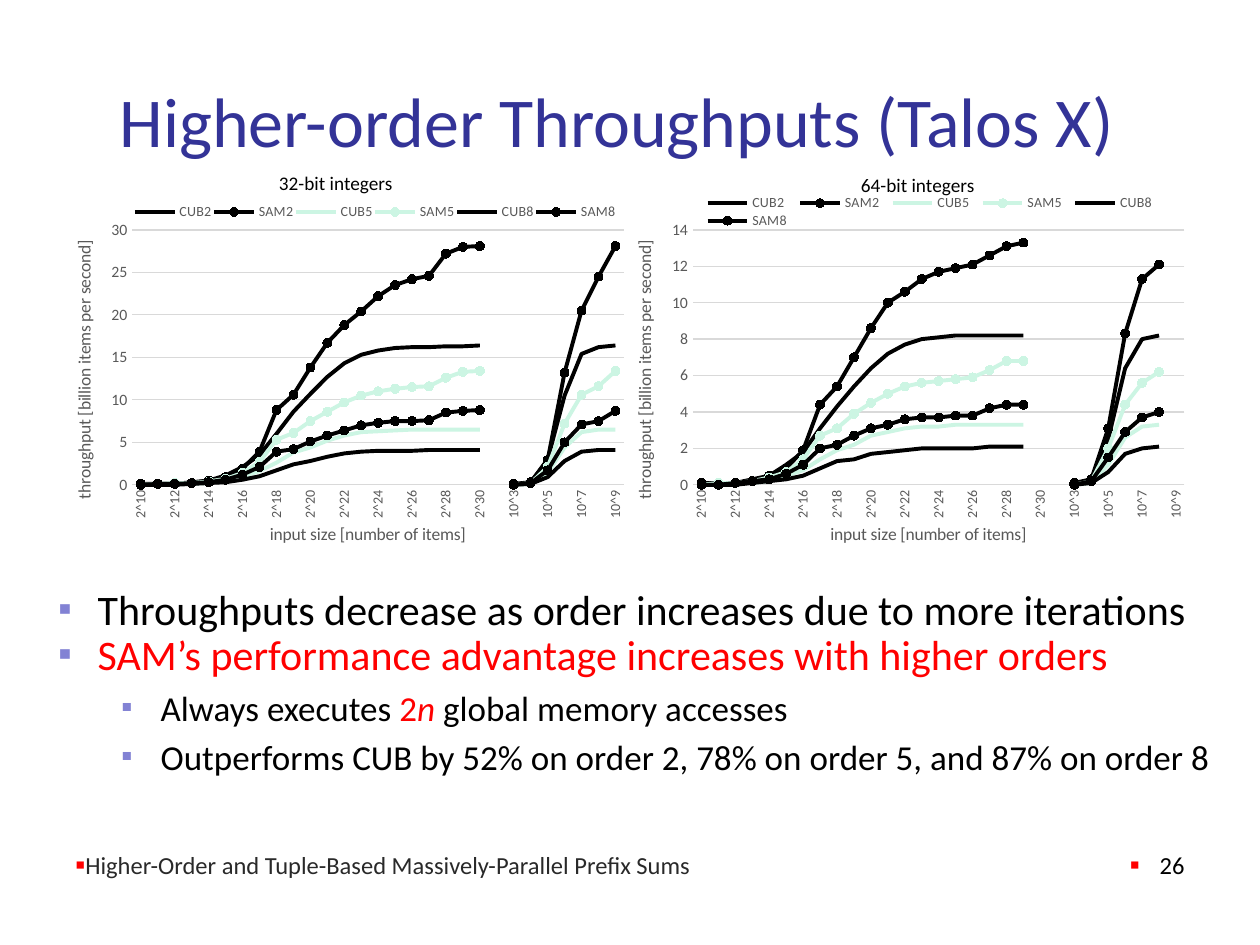
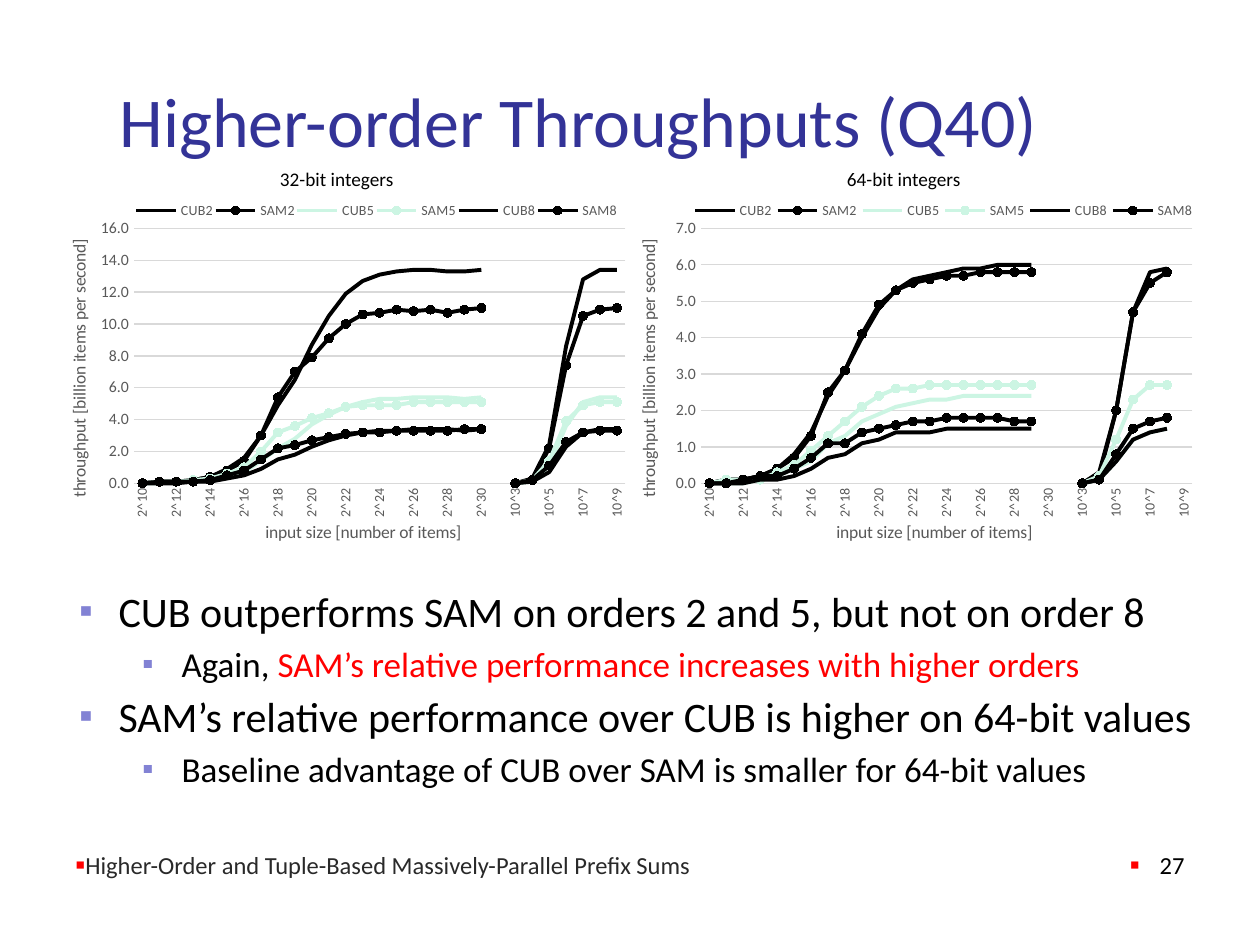
from dataclasses import dataclass
from typing import Any, NamedTuple, Optional

import lxml.etree
import pptx
import pptx.chart.data
import pptx.dml.color
import pptx.enum.chart
import pptx.enum.text
import pptx.oxml.ns
import pptx.util

Cm = pptx.util.Cm
Pt = pptx.util.Pt
qn = pptx.oxml.ns.qn
ANCHOR = pptx.enum.text.MSO_ANCHOR
ALIGN = pptx.enum.text.PP_ALIGN
AUTO_SIZE = pptx.enum.text.MSO_AUTO_SIZE
CHART = pptx.enum.chart


@dataclass(frozen=True)
class Theme:
    font: str = "Calibri"
    background: str = "FFFFFF"
    title: str = "333397"
    text: str = "000000"
    accent: str = "FF0000"
    bullet: str = "8282D4"
    footer: str = "292929"
    axis: str = "595959"
    grid: str = "D9D9D9"
    pale: str = "CCF5E3"
    title_size: int = 40
    level_sizes: tuple[int, int] = (24, 20)
    footer_size: int = 14
    caption_size: int = 11
    axis_title_size: int = 10
    value_size: int = 9
    small_size: int = 8
    curve_width: float = 2.25
    rule_width: float = 0.75


THEME = Theme()
FOOTER = "Higher-Order and Tuple-Based Massively-Parallel Prefix Sums"
SERIES_NAMES = ("CUB2", "SAM2", "CUB5", "SAM5", "CUB8", "SAM8")
BINARY_SIZES = [f"2^{power}" for power in range(10, 31)]
DECIMAL_SIZES = [f"10^{power}" for power in range(3, 10)]
LEVEL_INDENTS = (2.06, 3.33)
HANGING = 0.79


class Box(NamedTuple):
    """Left, top, width and height in centimetres."""
    left: float
    top: float
    width: float
    height: float

    def lengths(self) -> list[pptx.util.Length]:
        return [Cm(side) for side in self]


class Layout(NamedTuple):
    """Position and size as fractions of the chart."""
    x: float
    y: float
    w: float
    h: float


PLOT_LAYOUT = Layout(0.12, 0.11, 0.85, 0.71)


class Run(NamedTuple):
    text: str
    color: str = THEME.text
    italic: bool = False


@dataclass(frozen=True)
class Point:
    runs: tuple[Run, ...]
    level: int = 1
    line_spacing: Optional[float] = None


@dataclass(frozen=True)
class PointList:
    box: Box
    points: tuple[Point, ...]


@dataclass(frozen=True)
class Throughput:
    caption: str
    caption_at: tuple[float, float]
    chart_at: tuple[float, float]
    legend: Layout
    top_value: float
    step: float
    # One (binary sizes, decimal sizes) pair for each series name
    values: tuple[tuple[list[float], list[float]], ...]
    number_format: str = "General"


@dataclass(frozen=True)
class ResultSlide:
    title: str
    number: int
    throughputs: tuple[Throughput, ...]
    lists: tuple[PointList, ...]


# Content
TALOS_32 = (
    ([0, .1, .1, .3, .5, 1.1, 2.1, 3.5, 6, 8.6, 10.7, 12.7, 14.3, 15.3, 15.8, 16.1, 16.2, 16.2, 16.3, 16.3, 16.4],
     [0, .3, 3, 10.5, 15.4, 16.2, 16.4]),
    ([.1, .1, .1, .2, .5, .9, 1.9, 3.9, 8.8, 10.6, 13.8, 16.7, 18.8, 20.4, 22.2, 23.5, 24.2, 24.6, 27.2, 28, 28.1],
     [.1, .3, 2.9, 13.2, 20.5, 24.5, 28.1]),
    ([0, 0, .1, .1, .2, .5, 1, 1.6, 2.6, 3.8, 4.4, 5.2, 5.8, 6.2, 6.3, 6.4, 6.5, 6.5, 6.5, 6.5, 6.5],
     [0, .1, 1.4, 4.4, 6.2, 6.5, 6.5]),
    ([0, .1, .2, .2, .4, .7, 1.4, 2.7, 5.3, 6.1, 7.5, 8.6, 9.7, 10.5, 11, 11.3, 11.5, 11.6, 12.6, 13.3, 13.4],
     [0, .2, 2.1, 7.2, 10.6, 11.6, 13.4]),
    ([0, 0, 0, .1, .2, .3, .6, 1, 1.7, 2.4, 2.8, 3.3, 3.7, 3.9, 4, 4, 4, 4.1, 4.1, 4.1, 4.1],
     [0, .1, .9, 2.8, 3.9, 4.1, 4.1]),
    ([0, .1, .1, .2, .3, .6, 1.2, 2.1, 3.9, 4.2, 5.1, 5.8, 6.4, 7, 7.3, 7.5, 7.5, 7.6, 8.5, 8.7, 8.8],
     [0, .2, 1.7, 5, 7.1, 7.5, 8.7]),
)
TALOS_64 = (
    ([0, .1, .1, .3, .5, 1.1, 1.8, 3.1, 4.3, 5.4, 6.4, 7.2, 7.7, 8, 8.1, 8.2, 8.2, 8.2, 8.2, 8.2],
     [0, .3, 2.5, 6.4, 8, 8.2]),
    ([.1, .1, .1, .2, .5, .9, 1.9, 4.4, 5.4, 7, 8.6, 10, 10.6, 11.3, 11.7, 11.9, 12.1, 12.6, 13.1, 13.3],
     [.1, .3, 3.1, 8.3, 11.3, 12.1]),
    ([0, 0, .1, .1, .2, .5, .8, 1.4, 1.9, 2.2, 2.7, 2.9, 3.1, 3.2, 3.2, 3.3, 3.3, 3.3, 3.3, 3.3],
     [0, .1, 1.1, 2.6, 3.2, 3.3]),
    ([0, .1, .1, .2, .4, .7, 1.4, 2.7, 3.1, 3.9, 4.5, 5, 5.4, 5.6, 5.7, 5.8, 5.9, 6.3, 6.8, 6.8],
     [0, .2, 2, 4.4, 5.6, 6.2]),
    ([0, 0, 0, .1, .2, .3, .5, .9, 1.3, 1.4, 1.7, 1.8, 1.9, 2, 2, 2, 2, 2.1, 2.1, 2.1],
     [0, .1, .7, 1.7, 2, 2.1]),
    ([0, 0, .1, .2, .3, .6, 1.1, 2, 2.2, 2.7, 3.1, 3.3, 3.6, 3.7, 3.7, 3.8, 3.8, 4.2, 4.4, 4.4],
     [0, .2, 1.5, 2.9, 3.7, 4]),
)
Q40_32 = (
    ([0, .1, .1, .2, .4, .9, 1.6, 3, 4.9, 6.5, 8.7, 10.5, 11.9, 12.7, 13.1, 13.3, 13.4, 13.4, 13.3, 13.3, 13.4],
     [0, .3, 2.4, 8.6, 12.8, 13.4, 13.4]),
    ([0, .1, .1, .2, .4, .8, 1.4, 3, 5.4, 7, 7.9, 9.1, 10, 10.6, 10.7, 10.9, 10.8, 10.9, 10.7, 10.9, 11],
     [0, .2, 2.2, 7.4, 10.5, 10.9, 11]),
    ([0, 0, .1, .1, .2, .4, .7, 1.4, 2.2, 2.8, 3.7, 4.3, 4.8, 5.1, 5.3, 5.3, 5.4, 5.4, 5.4, 5.3, 5.4],
     [0, .1, 1.1, 3.6, 5.1, 5.4, 5.4]),
    ([0, .1, .1, .2, .3, .6, 1, 2, 3.2, 3.6, 4.1, 4.4, 4.8, 4.9, 4.9, 4.9, 5.1, 5.1, 5.1, 5.1, 5.1],
     [0, .2, 1.4, 3.9, 4.9, 5.1, 5.1]),
    ([0, 0, 0, .1, .1, .3, .5, .9, 1.5, 1.8, 2.3, 2.7, 3, 3.2, 3.3, 3.3, 3.4, 3.4, 3.4, 3.3, 3.4],
     [0, .1, .7, 2.3, 3.2, 3.4, 3.4]),
    ([0, .1, .1, .1, .2, .5, .8, 1.5, 2.2, 2.4, 2.7, 2.9, 3.1, 3.2, 3.2, 3.3, 3.3, 3.3, 3.3, 3.4, 3.4],
     [0, .2, 1.1, 2.6, 3.2, 3.3, 3.3]),
)
Q40_64 = (
    ([0, .1, .1, .2, .4, .8, 1.4, 2.4, 3.1, 4, 4.8, 5.3, 5.6, 5.7, 5.8, 5.9, 5.9, 6, 6, 6],
     [0, .3, 2, 4.7, 5.8, 5.9]),
    ([0, .1, .1, .2, .4, .7, 1.3, 2.5, 3.1, 4.1, 4.9, 5.3, 5.5, 5.6, 5.7, 5.7, 5.8, 5.8, 5.8, 5.8],
     [0, .2, 2, 4.7, 5.5, 5.8]),
    ([0, 0, 0, .1, .2, .4, .6, 1.1, 1.3, 1.7, 1.9, 2.1, 2.2, 2.3, 2.3, 2.4, 2.4, 2.4, 2.4, 2.4],
     [0, .1, .6, 1.2, 1.4, 1.5]),
    ([0, .1, .1, .1, .3, .5, .9, 1.3, 1.7, 2.1, 2.4, 2.6, 2.6, 2.7, 2.7, 2.7, 2.7, 2.7, 2.7, 2.7],
     [0, .2, 1.2, 2.3, 2.7, 2.7]),
    ([0, 0, 0, .1, .1, .2, .4, .7, .8, 1.1, 1.2, 1.4, 1.4, 1.4, 1.5, 1.5, 1.5, 1.5, 1.5, 1.5],
     [0, .1, .6, 1.2, 1.4, 1.5]),
    ([0, 0, .1, .2, .2, .4, .7, 1.1, 1.1, 1.4, 1.5, 1.6, 1.7, 1.7, 1.8, 1.8, 1.8, 1.8, 1.7, 1.7],
     [0, .1, .8, 1.5, 1.7, 1.8]),
)
RESULTS = (
    ResultSlide("Higher-order Throughputs (Talos X)", 26, (
        Throughput("64-bit integers", (12.57, 3.42), (12.57, 3.84), Layout(0.13, 0.01, 0.8, 0.1), 14, 2, TALOS_64),
        Throughput("32-bit integers", (0.84, 3.37), (1.27, 3.84), Layout(0.12, 0.03, 0.84, 0.06), 30, 5, TALOS_32),
    ), (
        PointList(Box(-0.34, 11.13, 24.77, 1.8), (
            Point((Run("Throughputs decrease as order increases due to more iterations"),), line_spacing=1.5),)),
        PointList(Box(-0.34, 12.55, 25.35, 3.33), (
            Point((Run("SAM’s performance advantage increases with higher orders", THEME.accent),)),
            Point((Run("Always executes "), Run("2", THEME.accent), Run("n", THEME.accent, True),
                   Run(" global memory accesses")), 2),
            Point((Run("Outperforms CUB by 52% on order 2, 78% on order 5, and 87% on order 8"),), 2))),
    )),
    ResultSlide("Higher-order Throughputs (Q40)", 27, (
        Throughput("64-bit integers", (12.29, 3.3), (12.73, 3.81), Layout(0.1, 0.03, 0.88, 0.06), 7, 1, Q40_64, "0.0"),
        Throughput("32-bit integers", (0.86, 3.3), (1.3, 3.81), Layout(0.12, 0.03, 0.84, 0.06), 16, 2, Q40_32, "0.0"),
    ), (
        PointList(Box(0.08, 11.68, 24.26, 2.31), (
            Point((Run("CUB outperforms SAM on orders 2 and 5, but not on order 8"),)),
            Point((Run("Again, "), Run("SAM’s relative performance increases with higher orders", THEME.accent)), 2))),
        PointList(Box(0.08, 13.79, 24.82, 2.31), (
            Point((Run("SAM’s relative performance over CUB is higher on 64-bit values"),)),
            Point((Run("Baseline advantage of CUB over SAM is smaller for 64-bit values"),), 2))),
    )),
)


# Formatting helpers
def rgb(color: str) -> pptx.dml.color.RGBColor:
    return pptx.dml.color.RGBColor.from_string(color)


def set_values(target: Any, values: dict[str, Any]) -> None:
    for name, value in values.items():
        setattr(target, name, value)


def set_font(font: Any, size: float, color: str, italic: bool = False) -> None:
    set_values(font, {"name": THEME.font, "size": Pt(size), "bold": False, "italic": italic})
    font.color.rgb = rgb(color)


def set_line(line: Any, color: str, width: float) -> None:
    line.color.rgb = rgb(color)
    line.width = Pt(width)


def add_run(paragraph: Any, run: Run, size: float) -> None:
    piece = paragraph.add_run()
    piece.text = run.text
    set_font(piece.font, size, run.color, run.italic)


def add_bullet(paragraph: Any, color: str, percent: int, margin: float, hanging: float) -> None:
    properties = paragraph._p.get_or_add_pPr()
    properties.set("marL", str(Cm(margin)))
    properties.set("indent", str(-Cm(hanging)))
    bullet_color = lxml.etree.SubElement(properties, qn("a:buClr"))
    lxml.etree.SubElement(bullet_color, qn("a:srgbClr"), val=color)
    lxml.etree.SubElement(properties, qn("a:buSzPct"), val=str(percent * 1000))
    lxml.etree.SubElement(properties, qn("a:buFont"), typeface=THEME.font)
    lxml.etree.SubElement(properties, qn("a:buChar"), char="▪")


def add_text_frame(slide: Any, box: Box, frame_values: dict[str, Any]) -> Any:
    frame = slide.shapes.add_textbox(*box.lengths()).text_frame
    set_values(frame, {"word_wrap": True} | frame_values)
    return frame


def place(parent: Any, index: int, layout: Layout, inner: bool = False) -> None:
    for previous in parent.findall(qn("c:layout")):
        parent.remove(previous)
    holder = lxml.etree.Element(qn("c:layout"))
    manual = lxml.etree.SubElement(holder, qn("c:manualLayout"))
    settings = {"layoutTarget": "inner"} if inner else {}
    settings |= {"xMode": "edge", "yMode": "edge"} | layout._asdict()
    for name, value in settings.items():
        lxml.etree.SubElement(manual, qn(f"c:{name}"), val=str(value))
    parent.insert(index, holder)


# Slide parts
def add_title(slide: Any, text: str) -> None:
    title = slide.shapes.title
    set_values(title, dict(zip(("left", "top", "width", "height"), Box(1.27, 1.52, 22.86, 1.78).lengths())))
    set_values(title.text_frame, {"vertical_anchor": ANCHOR.MIDDLE, "auto_size": AUTO_SIZE.NONE,
                                  "margin_left": Cm(1.14)})
    paragraph = title.text_frame.paragraphs[0]
    paragraph.alignment = ALIGN.LEFT
    add_run(paragraph, Run(text, THEME.title), THEME.title_size)


def add_footer(slide: Any, number: int) -> None:
    for run, box, alignment, gap in (
            (Run(FOOTER, THEME.footer), Box(1.27, 16.59, 15.24, 1.27), ALIGN.LEFT, 0),
            (Run(str(number)), Box(18.85, 16.59, 5.28, 1.27), ALIGN.RIGHT, 0.6)):
        paragraph = add_text_frame(slide, box, {"vertical_anchor": ANCHOR.BOTTOM}).paragraphs[0]
        paragraph.alignment = alignment
        add_run(paragraph, run, THEME.footer_size)
        add_bullet(paragraph, THEME.accent, 115, gap, gap)


def add_points(slide: Any, point_list: PointList) -> None:
    frame = add_text_frame(slide, point_list.box, {"auto_size": AUTO_SIZE.SHAPE_TO_FIT_TEXT})
    for index, point in enumerate(point_list.points):
        paragraph = frame.add_paragraph() if index else frame.paragraphs[0]
        size = THEME.level_sizes[point.level - 1]
        set_values(paragraph, {"level": point.level, "line_spacing": point.line_spacing,
                               "space_before": Pt(size * 0.2)})
        for run in point.runs:
            add_run(paragraph, run, size)
        add_bullet(paragraph, THEME.bullet, 90, LEVEL_INDENTS[point.level - 1], HANGING)


def add_caption(slide: Any, throughput: Throughput) -> None:
    frame = add_text_frame(slide, Box(*throughput.caption_at, 11.86, 0.71),
                           {"auto_size": AUTO_SIZE.SHAPE_TO_FIT_TEXT})
    set_values(frame.paragraphs[0], {"alignment": ALIGN.CENTER, "line_spacing": Pt(12)})
    add_run(frame.paragraphs[0], Run(throughput.caption), THEME.caption_size)


def format_axis(axis: Any, title: str, size: float, rotation: int) -> None:
    set_values(axis, {"major_tick_mark": CHART.XL_TICK_MARK.NONE, "minor_tick_mark": CHART.XL_TICK_MARK.NONE})
    set_font(axis.tick_labels.font, size, THEME.axis)
    axis._element.find(qn("c:txPr")).find(qn("a:bodyPr")).set("rot", str(rotation * 60000))
    add_run(axis.axis_title.text_frame.paragraphs[0], Run(title, THEME.axis), THEME.axis_title_size)


def add_throughput_chart(slide: Any, throughput: Throughput) -> None:
    data = pptx.chart.data.CategoryChartData()
    data.categories = BINARY_SIZES + [""] + DECIMAL_SIZES
    for name, (binary, decimal) in zip(SERIES_NAMES, throughput.values):
        gap = [None] * (len(BINARY_SIZES) + 1 - len(binary))
        data.add_series(name, binary + gap + decimal + [None] * (len(DECIMAL_SIZES) - len(decimal)))
    box = Box(*throughput.chart_at, 11.66, 7.24)
    chart = slide.shapes.add_chart(CHART.XL_CHART_TYPE.LINE_MARKERS, *box.lengths(), data).chart
    set_values(chart, {"has_title": False, "has_legend": True})
    set_font(chart.font, THEME.axis_title_size, THEME.text)
    place(chart._chartSpace.chart.plotArea, 0, PLOT_LAYOUT, inner=True)

    # Axes
    sizes, rates = chart.category_axis, chart.value_axis
    format_axis(sizes, "input size [number of items]", THEME.small_size, -90)
    format_axis(rates, "throughput [billion items per second]", THEME.value_size, 0)
    rates.axis_title.text_frame._txBody.bodyPr.set("rot", "-5400000")
    set_values(rates, {"minimum_scale": 0, "maximum_scale": throughput.top_value, "major_unit": throughput.step})
    set_values(rates.tick_labels, {"number_format": throughput.number_format, "number_format_is_linked": False})
    set_line(sizes.format.line, THEME.grid, THEME.rule_width)
    set_line(rates.major_gridlines.format.line, THEME.grid, THEME.rule_width)
    rates.format.line.fill.background()

    # Legend
    set_values(chart.legend, {"position": CHART.XL_LEGEND_POSITION.TOP, "include_in_layout": False})
    set_font(chart.legend.font, THEME.small_size, THEME.axis)
    place(chart.legend._element, 1, throughput.legend)

    # Curves: order 5 is pale, SAM has markers
    chart.plots[0].vary_by_categories = False
    for curve in chart.plots[0].series:
        color = THEME.pale if curve.name.endswith("5") else THEME.text
        curve.smooth = False
        set_line(curve.format.line, color, THEME.curve_width)
        if curve.name.startswith("SAM"):
            set_values(curve.marker, {"style": CHART.XL_MARKER_STYLE.CIRCLE, "size": 5})
            curve.marker.format.fill.solid()
            curve.marker.format.fill.fore_color.rgb = rgb(color)
            set_line(curve.marker.format.line, color, THEME.rule_width)
        else:
            curve.marker.style = CHART.XL_MARKER_STYLE.NONE


def add_result_slide(deck: Any, result: ResultSlide) -> None:
    slide = deck.slides.add_slide(deck.slide_layouts[5])
    slide.background.fill.solid()
    slide.background.fill.fore_color.rgb = rgb(THEME.background)
    add_title(slide, result.title)
    add_footer(slide, result.number)
    for throughput in result.throughputs:
        add_caption(slide, throughput)
    for point_list in result.lists:
        add_points(slide, point_list)
    for throughput in reversed(result.throughputs):
        add_throughput_chart(slide, throughput)


def main() -> None:
    deck = pptx.Presentation()
    set_values(deck, {"slide_width": Cm(25.4), "slide_height": Cm(19.05)})
    for result in RESULTS:
        add_result_slide(deck, result)
    deck.save("out.pptx")


if __name__ == "__main__":
    main()
